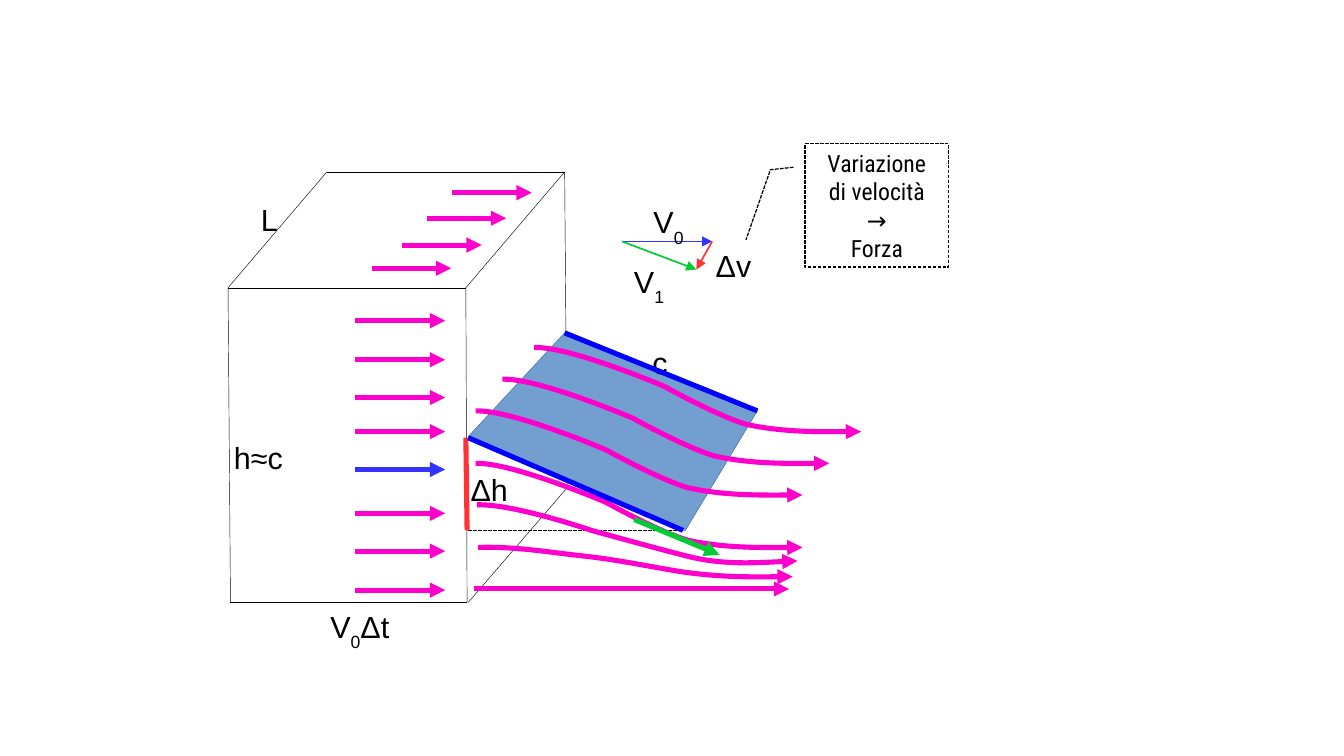
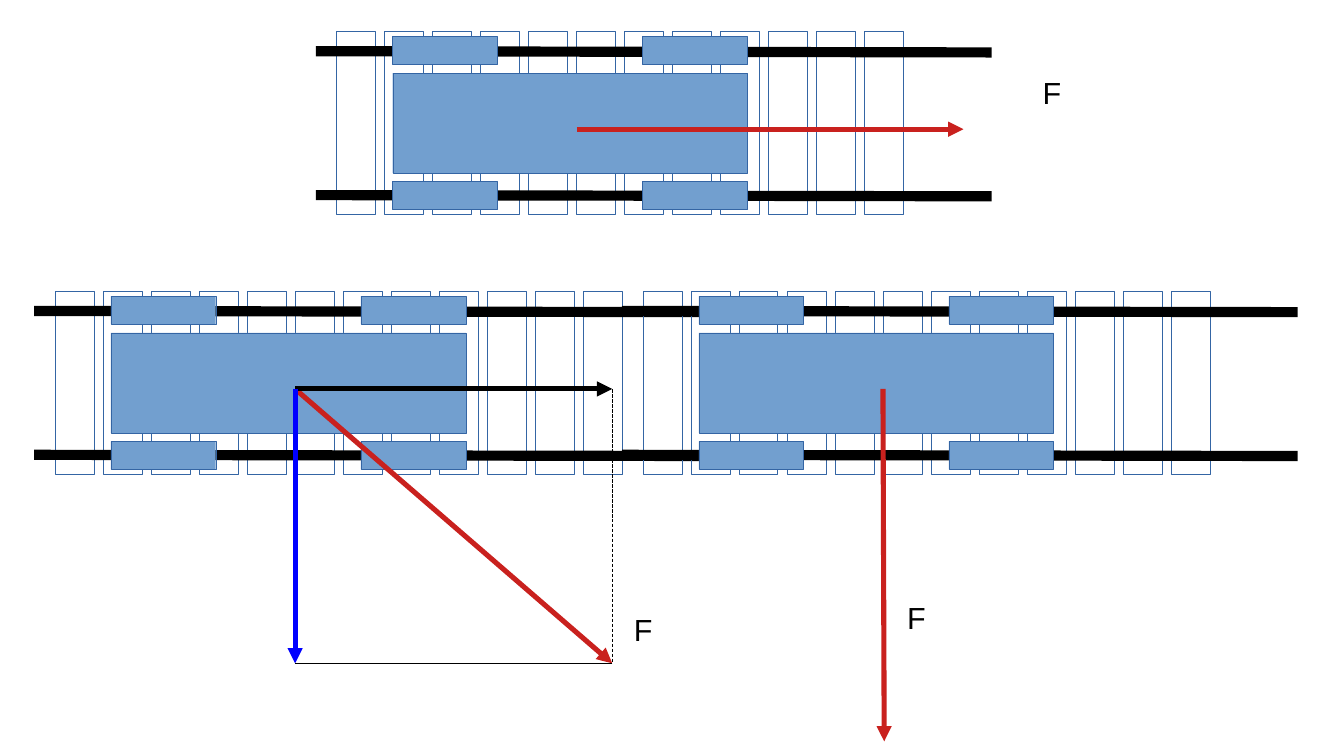
from lxml import etree
from pptx import Presentation
from pptx.dml.color import RGBColor
from pptx.enum.dml import MSO_LINE
from pptx.enum.shapes import MSO_CONNECTOR, MSO_SHAPE
from pptx.enum.text import MSO_ANCHOR, MSO_AUTO_SIZE, PP_ALIGN
from pptx.oxml.ns import qn
from pptx.util import Inches, Pt

STRAIGHT = MSO_CONNECTOR.STRAIGHT
RECTANGLE = MSO_SHAPE.RECTANGLE
CALLOUT = MSO_SHAPE.LINE_CALLOUT_2
DASH = MSO_LINE.SQUARE_DOT
MIDDLE = MSO_ANCHOR.MIDDLE
FIT_TEXT = MSO_AUTO_SIZE.SHAPE_TO_FIT_TEXT
LEFT, CENTER = PP_ALIGN.LEFT, PP_ALIGN.CENTER

BLACK = RGBColor(0x00, 0x00, 0x00)
PANEL = RGBColor(0x72, 0x9F, 0xCF)
PANEL_EDGE = RGBColor(0x34, 0x65, 0xA4)
FLOW = RGBColor(0xFF, 0x00, 0xCC)
SPEED = RGBColor(0x33, 0x33, 0xFF)
DEFLECTED = RGBColor(0x00, 0xCC, 0x33)
CHANGE = RGBColor(0xFF, 0x33, 0x33)
EDGE_BLUE = RGBColor(0x00, 0x00, 0xFF)
FORCE = RGBColor(0xC9, 0x21, 0x1E)

HAIRLINE, DASHED, THIN, THICK, RAIL = 0.25, 0.75, 1, 3, 6

WING_BEND = [(0.3, -0.01), (1.07, 0.32), (1.07, 0.32),
             (1.07, 0.32), (1.5, 0.56), (1.74, 0.63),
             (2.05, 0.7), (2.68, 0.69), (2.68, 0.69)]
MIDDLE_BEND = [(0.3, -0.01), (0.94, 0.21), (0.94, 0.21),
               (0.94, 0.21), (1.48, 0.36), (1.72, 0.42),
               (2.02, 0.5), (2.63, 0.46), (2.63, 0.46)]
LOWER_BEND = [(0.3, -0.01), (0.58, 0.04), (0.86, 0.07),
              (1.14, 0.1), (1.42, 0.16), (1.67, 0.2),
              (2.02, 0.25), (2.58, 0.24), (2.58, 0.24)]
STREAMLINES = [((3.9, 3.37), WING_BEND), ((4.12, 3.11), WING_BEND), ((4.38, 2.85), WING_BEND),
               ((3.9, 3.8), WING_BEND), ((3.91, 4.14), MIDDLE_BEND), ((3.92, 4.49), LOWER_BEND)]


def style_line(shape, color, width, dash=None, arrow=False):
    """Format the line of a shape and add an arrowhead at its end."""
    shape.line.color.rgb = color
    shape.line.width = Pt(width)
    if dash:
        shape.line.dash_style = dash
    if arrow:
        outline = shape._element.spPr.find(qn("a:ln"))
        etree.SubElement(outline, qn("a:tailEnd"), type="triangle")


def add_line(shapes, start, end, color=BLACK, width=HAIRLINE, dash=None, arrow=False):
    """Draw a straight line between two points."""
    line = shapes.add_connector(STRAIGHT, *(Inches(v) for v in (*start, *end)))
    style_line(line, color, width, dash, arrow)
    etree.SubElement(line._element.spPr, qn("a:effectLst"))


def add_arrow(shapes, start, end, color=FLOW, width=THICK):
    """Draw a straight arrow between two points."""
    add_line(shapes, start, end, color, width, arrow=True)


def add_outline(shapes, points, closed=False):
    """Build a freeform through the points."""
    corners = [(Inches(x), Inches(y)) for x, y in points]
    builder = shapes.build_freeform(*corners[0])
    builder.add_line_segments(corners[1:], close=closed)
    outline = builder.convert_to_shape()
    outline.shadow.inherit = False
    return outline


def add_streamline(shapes, origin, bend):
    """Draw a curved flow arrow; the bend holds cubic controls as offsets."""
    points = [(origin[0] + dx, origin[1] + dy) for dx, dy in [(0, 0), *bend]]
    streamline = add_outline(shapes, points)
    segments = list(streamline._element.iter(qn("a:lnTo")))
    for first, second, third in zip(segments[::3], segments[1::3], segments[2::3]):
        curve = etree.Element(qn("a:cubicBezTo"))
        first.addprevious(curve)
        for segment in (first, second, third):
            curve.append(segment[0])
            segment.getparent().remove(segment)
    streamline.fill.background()
    style_line(streamline, FLOW, THICK, arrow=True)


def add_box(shapes, left, top, width, height, fill=None):
    """Draw a rectangle with the thin blue edge."""
    box = shapes.add_shape(RECTANGLE, Inches(left), Inches(top), Inches(width), Inches(height))
    box.shadow.inherit = False
    if fill is None:
        box.fill.background()
    else:
        box.fill.solid()
        box.fill.fore_color.rgb = fill
    style_line(box, PANEL_EDGE, HAIRLINE)


def write_text(frame, lines, size=18, font="Arial", color=BLACK, align=LEFT, wrap=False):
    """Write lines of (text, baseline) runs into a text frame."""
    frame.word_wrap = wrap
    for index, runs in enumerate(lines):
        paragraph = frame.add_paragraph() if index else frame.paragraphs[0]
        paragraph.alignment = align
        for text, baseline in runs:
            run = paragraph.add_run()
            run.text = text
            run.font.size = Pt(size)
            run.font.name = font
            run.font.color.rgb = color
            if baseline:
                run._r.get_or_add_rPr().set("baseline", str(baseline * 1000))


def add_label(shapes, left, top, width, text, subscript="", rest="", wrap=False):
    """Add a symbol with an optional subscript and following text."""
    height = 0.44 if subscript else 0.38
    label = shapes.add_textbox(Inches(left), Inches(top), Inches(width), Inches(height))
    runs = [run for run in ((text, 0), (subscript, -33), (rest, 0)) if run[0]]
    write_text(label.text_frame, [runs], wrap=wrap)
    label.text_frame.auto_size = FIT_TEXT


def add_callout(shapes):
    """Add the dashed callout about the change of velocity."""
    callout = shapes.add_shape(CALLOUT, Inches(6.6), Inches(1.18), Inches(1.18), Inches(1.01))
    for index, value in enumerate((0.19, -0.08, 0.21, -0.24, 0.78, -0.41)):
        callout.adjustments[index] = value
    callout.shadow.inherit = False
    callout.fill.background()
    style_line(callout, BLACK, DASHED, DASH)
    callout.text_frame.vertical_anchor = MIDDLE
    lines = [[(text, 0)] for text in ("Variazione", "di velocità", "→", "Forza")]
    write_text(callout.text_frame, lines, size=14, font="Roboto Condensed", align=CENTER)


def add_deflected_flow(shapes):
    """Draw the wing panel and the streamlines that bend along it."""
    panel = add_outline(shapes, [(3.84, 3.58), (4.63, 2.73), (6.21, 3.37), (5.62, 4.35),
                                 (5.61, 4.35)], closed=True)
    panel.fill.solid()
    panel.fill.fore_color.rgb = PANEL
    style_line(panel, PANEL_EDGE, HAIRLINE)
    for origin, bend in STREAMLINES:
        add_streamline(shapes, origin, bend)
    add_arrow(shapes, (3.89, 4.83), (6.47, 4.83))


def add_air_volume(shapes):
    """Draw the box of air and the arrows of the incoming flow."""
    back_right, front_right, front_left, back_left = (4.63, 1.41), (3.82, 2.36), (1.87, 2.36), (2.68, 1.41)
    base_right, base_left = (3.83, 4.94), (1.89, 4.94)
    for start, end in ((back_right, front_right), (front_right, front_left), (back_right, back_left),
                       (base_right, base_left), (front_right, base_right),
                       (front_left, base_left), (back_left, front_left)):
        add_line(shapes, start, end)
    for y in (4.84, 4.52, 4.21, 3.85, 3.54, 3.26, 2.95, 2.63):
        add_arrow(shapes, (2.91, y), (3.65, y), SPEED if y == 3.85 else FLOW)
    top_flow = shapes.add_group_shape().shapes
    for x, y in ((3.05, 2.2), (3.3, 2.01), (3.5, 1.79), (3.71, 1.58)):
        add_arrow(top_flow, (x, y), (x + 0.65, y))


def add_velocity_triangle(shapes):
    """Draw the vectors before and after the deflection."""
    origin, before, after = (5.1, 1.98), (5.84, 1.98), (5.71, 2.21)
    for start, end, color in ((origin, before, SPEED), (origin, after, DEFLECTED), (before, after, CHANGE)):
        add_arrow(shapes, start, end, color, THIN)
    add_label(shapes, 5.77, 1.98, 0.49, "Δv")
    add_label(shapes, 5.26, 1.62, 0.45, "V", "0")
    add_label(shapes, 5.1, 2.11, 0.45, "V", "1")


def build_flow_slide(shapes):
    """Build the slide on the air deflected by the wing."""
    add_line(shapes, (3.84, 4.35), (5.6, 4.35), width=DASHED, dash=DASH)
    add_line(shapes, (4.65, 4), (3.84, 4.94))
    add_line(shapes, (4.63, 1.41), (4.65, 4))
    add_deflected_flow(shapes)
    add_air_volume(shapes)
    add_label(shapes, 5.25, 2.77, 0.32, "c")
    add_label(shapes, 1.82, 3.55, 0.6, "h≈c")
    add_label(shapes, 2.61, 4.94, 0.75, "V", "0", "Δt")
    add_label(shapes, 2.04, 1.6, 0.34, "L")
    add_arrow(shapes, (5.2, 4.26), (5.9, 4.55), DEFLECTED)
    add_velocity_triangle(shapes)
    add_line(shapes, (3.83, 4.35), (3.82, 3.59), CHANGE, THICK)
    add_line(shapes, (3.84, 3.59), (5.6, 4.35), EDGE_BLUE, THICK)
    add_line(shapes, (4.63, 2.73), (6.21, 3.37), EDGE_BLUE, THICK)
    add_label(shapes, 3.76, 3.81, 0.55, "Δh", wrap=True)
    add_callout(shapes)


def add_wagon_on_track(shapes, left, top):
    """Draw sleepers, rails, wheels and the wagon body."""
    pitch = 4.33 / 11
    for first in (9, 6, 3, 0):
        sleepers = shapes.add_group_shape().shapes
        for index in range(first, first + 3):
            add_box(sleepers, left + 0.17 + index * pitch, top, 0.32, 1.5)
    for drop in (0.16, 1.34):
        add_line(shapes, (left, top + drop), (left + 5.54, top + drop + 0.01), width=RAIL)
    for shift in (0.63, 2.68):
        for drop in (1.23, 0.04):
            add_box(shapes, left + shift, top + drop, 0.86, 0.23, PANEL)
    add_box(shapes, left + 0.63, top + 0.34, 2.91, 0.82, PANEL)


def build_wagon_slide(shapes):
    """Build the slide on the force acting on a wagon."""
    add_wagon_on_track(shapes, 2.59, 0.26)
    add_arrow(shapes, (4.73, 1.06), (7.9, 1.06), FORCE)
    add_label(shapes, 8.45, 0.56, 0.35, "F")

    add_wagon_on_track(shapes, 0.28, 2.39)
    origin, along, across, resultant = (2.42, 3.19), (5.02, 3.19), (2.42, 5.44), (5.02, 5.44)
    add_arrow(shapes, origin, resultant, FORCE)
    add_label(shapes, 5.1, 4.96, 0.35, "F")
    add_arrow(shapes, origin, along, BLACK)
    add_line(shapes, along, resultant, width=DASHED, dash=DASH)
    add_arrow(shapes, origin, across, EDGE_BLUE)
    add_line(shapes, resultant, across)

    add_wagon_on_track(shapes, 5.1, 2.39)
    add_arrow(shapes, (7.24, 3.19), (7.25, 6.08), FORCE)
    add_label(shapes, 7.34, 4.86, 0.35, "F")


def main():
    """Create the two slides and save them."""
    deck = Presentation()
    deck.slide_width, deck.slide_height = Inches(11.02), Inches(6.2)
    blank = deck.slide_layouts[6]
    for build in (build_flow_slide, build_wagon_slide):
        build(deck.slides.add_slide(blank).shapes)
    deck.save("out.pptx")


if __name__ == "__main__":
    main()
